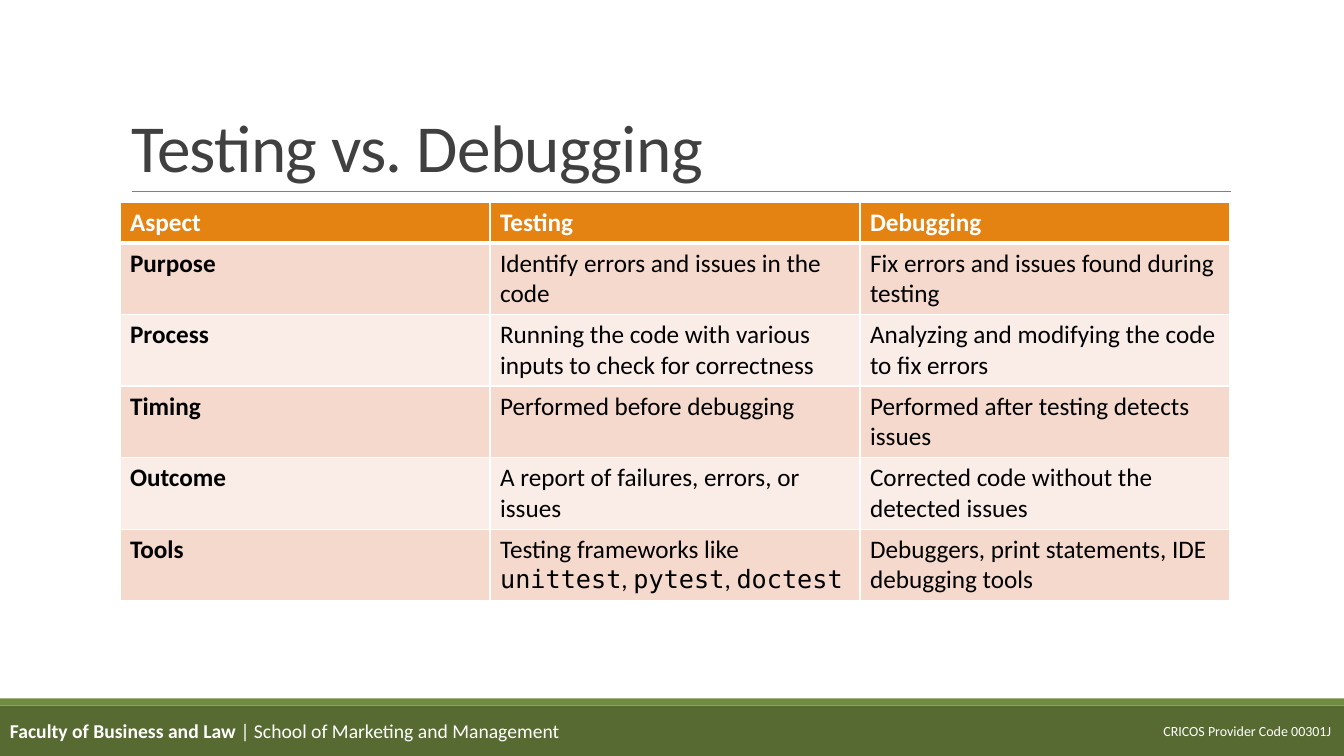
"""Build the slide that compares testing with debugging."""
from dataclasses import dataclass

from lxml.etree import SubElement
from pptx import Presentation
from pptx.dml.color import RGBColor
from pptx.enum.shapes import MSO_CONNECTOR as Connector, MSO_SHAPE as Shape
from pptx.enum.text import MSO_ANCHOR as Anchor, MSO_AUTO_SIZE as AutoSize, PP_ALIGN as Align
from pptx.oxml.ns import qn
from pptx.util import Pt

EMU_PER_PX = 9144


@dataclass(frozen=True)
class Theme:
    """Colours, fonts and type sizes of the slide."""

    white: str = "FFFFFF"
    black: str = "000000"
    title: str = "404040"
    rule: str = "808080"
    footer: str = "566A31"
    footer_edge: str = "718C40"
    header: str = "E48312"
    bands: tuple = ("F5D9CC", "FAEDE7")
    font: str = "Calibri"
    code_font: str = "DejaVu Sans Mono"
    title_size: int = 48
    table_size: int = 18
    footer_size: int = 14
    code_size: int = 10


THEME = Theme()

TOOL_RUNS = [
    ("Testing frameworks like ", {}),
    ("unittest", {"name": THEME.code_font}),
    (", ", {}),
    ("pytest", {"name": THEME.code_font}),
    (", ", {}),
    ("doctest", {"name": THEME.code_font}),
]

ROWS = [
    ("Aspect", "Testing", "Debugging"),
    ("Purpose", "Identify errors and issues in the code",
     "Fix errors and issues found during testing"),
    ("Process", "Running the code with various inputs to check for correctness",
     "Analyzing and modifying the code to fix errors"),
    ("Timing", "Performed before debugging", "Performed after testing detects issues"),
    ("Outcome", "A report of failures, errors, or issues",
     "Corrected code without the detected issues"),
    ("Tools", TOOL_RUNS, "Debuggers, print statements, IDE debugging tools"),
]


def px(*lengths):
    """Turn pixel lengths into EMU."""
    return [length * EMU_PER_PX for length in lengths]


def set_values(target, values):
    """Set each named attribute of the target."""
    for name, value in values.items():
        setattr(target, name, value)


def write_text(frame, content, size, color, bold=False):
    """Write a string or a list of formatted runs in the first paragraph."""
    paragraph = frame.paragraphs[0]
    runs = [(content, {})] if isinstance(content, str) else content
    for text, changes in runs:
        run = paragraph.add_run()
        run.text = text
        values = {"name": THEME.font, "size": Pt(size), "bold": bold}
        set_values(run.font, values | changes)
        run.font.color.rgb = RGBColor.from_string(color)
    return paragraph


def add_band(slide, box, color):
    """Add a plain filled rectangle."""
    shape = slide.shapes.add_shape(Shape.RECTANGLE, *px(*box))
    shape.shadow.inherit = False
    shape.fill.solid()
    shape.fill.fore_color.rgb = RGBColor.from_string(color)
    shape.line.fill.background()


def add_rule(slide, left, right, top):
    """Add the thin line under the title."""
    line = slide.shapes.add_connector(Connector.STRAIGHT, *px(left, top, right, top))
    line.line.width = Pt(0.5)
    line.line.color.rgb = RGBColor.from_string(THEME.rule)
    SubElement(line._element.spPr, qn("a:effectLst"))


def add_label(slide, box, content, size, frame_values):
    """Add a white text box on the footer."""
    frame = slide.shapes.add_textbox(*px(*box)).text_frame
    set_values(frame, frame_values)
    write_text(frame, content, size, THEME.white)


def fill_title(slide, box, text):
    """Place and format the title placeholder."""
    title = slide.shapes.title
    set_values(title, dict(zip(("left", "top", "width", "height"), px(*box))))
    set_values(title.text_frame, {"vertical_anchor": Anchor.BOTTOM, "word_wrap": True,
                                  "auto_size": AutoSize.NONE})
    paragraph = write_text(title.text_frame, text, THEME.title_size, THEME.title)
    set_values(paragraph, {"alignment": Align.LEFT, "line_spacing": 0.85})
    for run in paragraph.runs:
        run.font._element.set("spc", "-50")


def add_borders(cell, bottom):
    """Give a cell white borders, with its own bottom width in points."""
    properties = cell._tc.get_or_add_tcPr()
    for side, width in {"L": 1, "R": 1, "T": 1, "B": bottom}.items():
        border = SubElement(properties, qn(f"a:ln{side}"), w=str(Pt(width)))
        fill = SubElement(border, qn("a:solidFill"))
        SubElement(fill, qn("a:srgbClr"), val=THEME.white)


def add_comparison(slide, left, top, column_width, header_height, row_height):
    """Add the banded comparison table."""
    column_count = len(ROWS[0])
    height = header_height + row_height * (len(ROWS) - 1)
    box = px(left, top, column_width * column_count, height)
    table = slide.shapes.add_table(len(ROWS), column_count, *box).table
    for row_index, contents in enumerate(ROWS):
        is_header = row_index == 0
        table.rows[row_index].height = px(header_height if is_header else row_height)[0]
        fill = THEME.header if is_header else THEME.bands[(row_index - 1) % 2]
        color = THEME.white if is_header else THEME.black
        for column_index, content in enumerate(contents):
            cell = table.cell(row_index, column_index)
            add_borders(cell, 3 if is_header else 1)
            cell.fill.solid()
            cell.fill.fore_color.rgb = RGBColor.from_string(fill)
            bold = is_header or column_index == 0
            write_text(cell.text_frame, content, THEME.table_size, color, bold)


def main():
    """Build and save the slide."""
    presentation = Presentation()
    width, height = px(1333, 750)
    set_values(presentation, {"slide_width": width, "slide_height": height})
    slide = presentation.slides.add_slide(presentation.slide_layouts[5])
    add_band(slide, (0, 700, 1333, 50), THEME.footer)
    add_rule(slide, 131, 1221, 190)
    add_band(slide, (0, 693, 1333, 7), THEME.footer_edge)
    add_label(slide, (1144, 712, 189, 27), "CRICOS Provider Code 00301J",
              THEME.code_size, {"word_wrap": False, "auto_size": AutoSize.SHAPE_TO_FIT_TEXT})
    fill_title(slide, (120, 31, 1100, 159), "Testing vs. Debugging")
    add_comparison(slide, 119, 201, 367, 39, 71)
    faculty = [("Faculty of Business and Law ", {"bold": True}),
               ("| School of Marketing and Management", {})]
    add_label(slide, (0, 705, 1097, 40), faculty, THEME.footer_size,
              {"word_wrap": True, "vertical_anchor": Anchor.MIDDLE})
    presentation.save("out.pptx")


if __name__ == "__main__":
    main()
